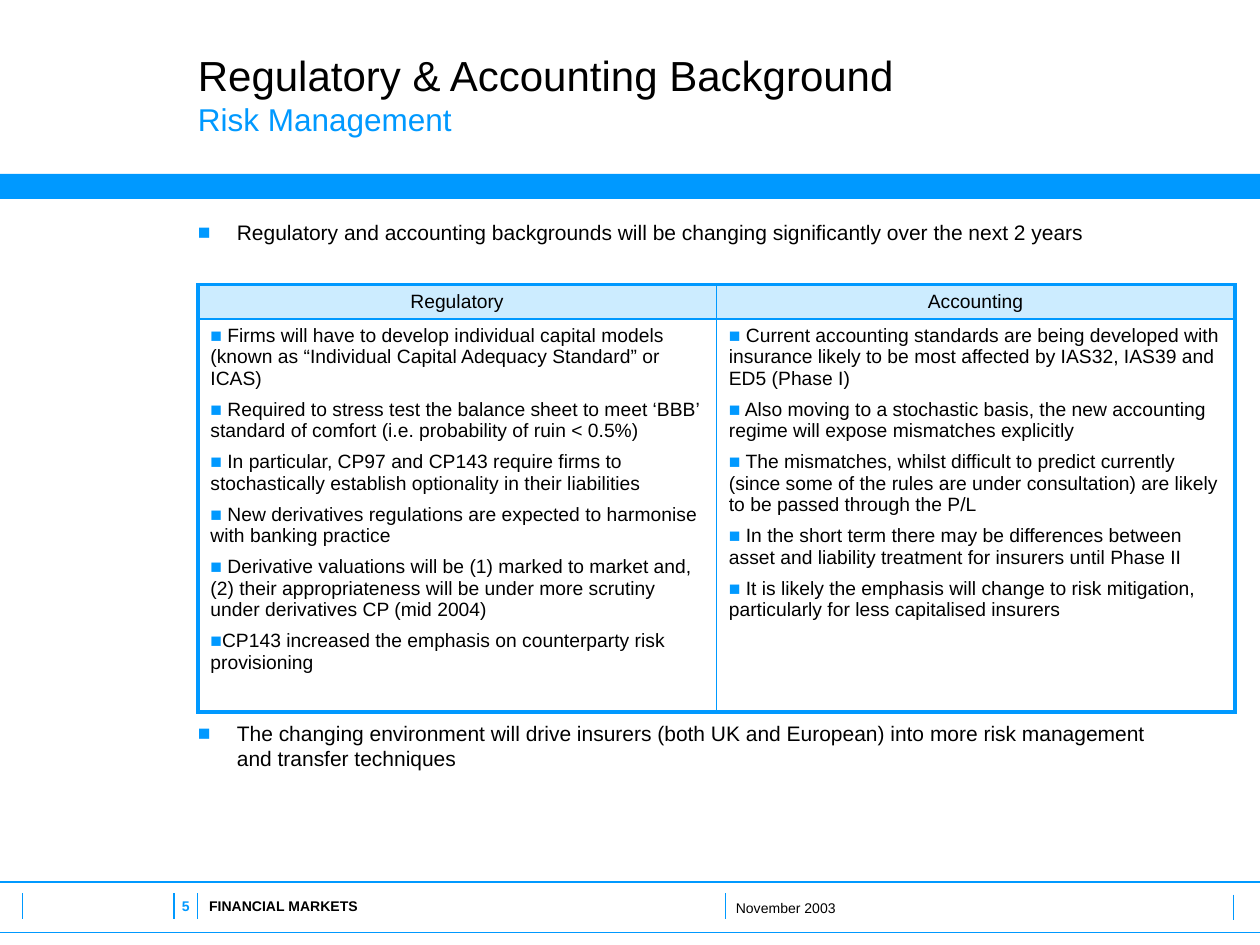
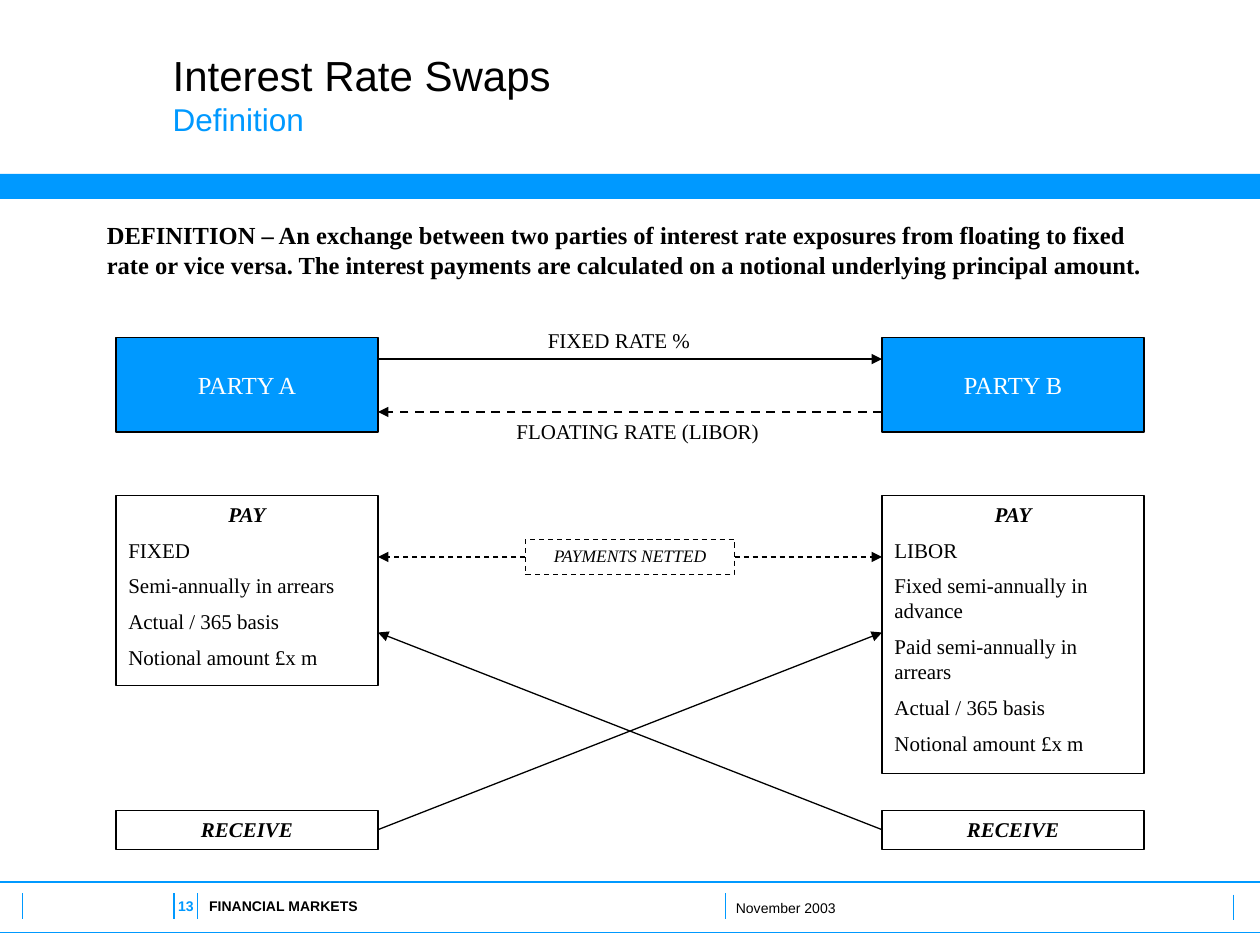
from copy import deepcopy

from lxml import etree
from pptx import Presentation
from pptx.dml.color import RGBColor
from pptx.enum.dml import MSO_LINE
from pptx.enum.shapes import MSO_CONNECTOR, MSO_SHAPE
from pptx.enum.text import MSO_ANCHOR, MSO_AUTO_SIZE, PP_ALIGN
from pptx.oxml.ns import qn
from pptx.util import Inches, Pt

LEFT, CENTER = PP_ALIGN.LEFT, PP_ALIGN.CENTER
TOP, MIDDLE = MSO_ANCHOR.TOP, MSO_ANCHOR.MIDDLE
DASH, RECT = MSO_LINE.DASH, MSO_SHAPE.RECTANGLE
STRAIGHT, NO_FIT = MSO_CONNECTOR.STRAIGHT, MSO_AUTO_SIZE.NONE
SIDE_LEFT, SIDE_RIGHT = 1, 3
TITLE_AND_BODY, TITLE_ONLY = 1, 5

COLORS = {"blue": "0099FF", "pale": "CCECFF", "black": "000000", "white": "FFFFFF"}
SANS, SERIF = "Arial", "Times New Roman"


def rgb(name):
    return RGBColor.from_string(COLORS[name])


class Deck:
    def __init__(self):
        self.prs = Presentation()
        self.prs.slide_width, self.prs.slide_height = Inches(10), Inches(7.5)
        self.s = None

    def slide(self, layout, number, title, subtitle, title_left):
        self.s = self.prs.slides.add_slide(self.prs.slide_layouts[layout])
        self.box((0, 1.38, 10, 0.2), fill="blue", line=None)
        for y in (7, 7.4):
            self.line((0, y), (10, y), color="blue")
        for x, y in ((0.18, 7.09), (1.38, 7.09), (1.57, 7.09), (5.76, 7.09), (9.79, 7.1)):
            self.line((x, y), (x, y + 0.2), color="blue")
        self.footer((1.66, 7.09, 3.93, 0.2), "FINANCIAL MARKETS", bold=True)
        self.footer((5.84, 7.11, 2.56, 0.2), "November 2003")
        self.footer((1.39, 7.09, 0.17, 0.2), str(number), CENTER, color="blue", bold=True)
        self.title(title, subtitle, title_left)

    def frame(self, tf, anchor=TOP, inset=True, wrap=True):
        tf.auto_size, tf.word_wrap, tf.vertical_anchor = NO_FIT, wrap, anchor
        if not inset:
            tf.margin_left = tf.margin_right = tf.margin_top = tf.margin_bottom = 0
        return tf

    def run(self, p, text, size, font=SANS, color="black", bold=False, italic=False):
        r = p.add_run()
        r.text = text
        f = r.font
        f.size, f.name, f.bold, f.italic = Pt(size), font, bold, italic
        f.color.rgb = rgb(color)
        return r

    def paragraph(self, tf, align=LEFT, spaced=True):
        p = tf.paragraphs[0]
        if p.runs:
            p = tf.add_paragraph()
        p.alignment = align
        p.space_before = Pt(0)
        if spaced:
            before = p._p.pPr.find(qn("a:spcBef"))
            before.clear()
            etree.SubElement(before, qn("a:spcPct"), val="50000")
        return p

    def bullet(self, p, indent=0):
        pPr = p._p.get_or_add_pPr()
        pPr.set("marL", str(Inches(indent)))
        pPr.set("indent", str(-Inches(indent)))
        color = etree.SubElement(pPr, qn("a:buClr"))
        etree.SubElement(color, qn("a:srgbClr"), val=COLORS["blue"])
        etree.SubElement(pPr, qn("a:buFont"), typeface=SANS)
        etree.SubElement(pPr, qn("a:buChar"), char="■")

    def place(self, shape, at):
        shape.left, shape.top, shape.width, shape.height = map(Inches, at)

    def title(self, title, subtitle, left):
        sp = self.s.shapes.title
        self.place(sp, (left, 0.39, 8.21, 0.79))
        p = self.paragraph(self.frame(sp.text_frame, inset=False), spaced=False)
        r = self.run(p, title, 24)
        p.add_line_break()
        p._p[-1].append(deepcopy(r._r.rPr))
        self.run(p, subtitle, 18, color="blue")

    def body(self, at, texts, gap):
        sp = self.s.placeholders[1]
        self.place(sp, at)
        tf = self.frame(sp.text_frame, inset=False)
        for i, text in enumerate(texts):
            p = self.paragraph(tf, spaced=False)
            p.space_before = Pt(gap if i else 0)
            self.bullet(p, 0.31)
            self.run(p, text, 12)

    def footer(self, at, text, align=LEFT, **style):
        sp = self.s.shapes.add_textbox(*map(Inches, at))
        tf = self.frame(sp.text_frame, MIDDLE, inset=False)
        self.run(self.paragraph(tf, align, spaced=False), text, 8, **style)

    def text(self, at, text, size=12, bold=False):
        sp = self.s.shapes.add_textbox(*map(Inches, at))
        p = self.paragraph(self.frame(sp.text_frame))
        self.run(p, text, size, SERIF, bold=bold)

    def box(self, at, fill=None, line="black", dash=None):
        sp = self.s.shapes.add_shape(RECT, *map(Inches, at))
        sp.shadow.inherit = False
        if fill:
            sp.fill.solid()
            sp.fill.fore_color.rgb = rgb(fill)
        else:
            sp.fill.background()
        if line:
            sp.line.color.rgb, sp.line.width = rgb(line), Pt(0.75)
            if dash:
                sp.line.dash_style = dash
        else:
            sp.line.fill.background()
        return sp

    def party(self, at, name):
        sp = self.box(at, fill="blue")
        p = self.paragraph(self.frame(sp.text_frame, MIDDLE, wrap=False), CENTER, spaced=False)
        self.run(p, name, 14, SERIF, "white")

    def terms(self, at, heading, items=(), size=12, bold=True, dash=None):
        sp = self.box(at, dash=dash)
        tf = self.frame(sp.text_frame)
        self.run(self.paragraph(tf, CENTER), heading, size, SERIF, bold=bold, italic=True)
        for item in items:
            self.run(self.paragraph(tf), item, size, SERIF)
        return sp

    def line(self, start, end, color="black", width=0.75, dash=None, arrow=False, joined=None):
        c = self.s.shapes.add_connector(STRAIGHT, *map(Inches, (*start, *end)))
        c.line.color.rgb, c.line.width = rgb(color), Pt(width)
        if dash:
            c.line.dash_style = dash
        if arrow:
            etree.SubElement(c.line._get_or_add_ln(), qn("a:tailEnd"), type="triangle")
        etree.SubElement(c._element.spPr, qn("a:effectLst"))
        if joined:
            c.begin_connect(*joined)

    def borders(self, cell, widths):
        tcPr = cell._tc.get_or_add_tcPr()
        for side, width in zip("LRTB", widths):
            ln = etree.SubElement(tcPr, qn("a:ln" + side), w=str(Pt(width)))
            fill = etree.SubElement(ln, qn("a:solidFill"))
            etree.SubElement(fill, qn("a:srgbClr"), val=COLORS["blue"])

    def table(self, at, heights, columns):
        outer, inner = 2.25, 1
        count = len(columns)
        t = self.s.shapes.add_table(2, count, *map(Inches, at)).table
        t.first_row = t.horz_banding = False
        for row, height in zip(t.rows, heights):
            row.height = Inches(height)
        for col, (heading, items) in enumerate(columns):
            left = inner if col else outer
            right = outer if col == count - 1 else inner
            head, cell = t.cell(0, col), t.cell(1, col)
            self.borders(head, (left, right, outer, inner))
            self.borders(cell, (left, right, inner, outer))
            head.fill.solid()
            head.fill.fore_color.rgb = rgb("pale")
            cell.fill.background()
            self.run(self.paragraph(head.text_frame, CENTER), heading, 11)
            for item in items:
                p = self.paragraph(cell.text_frame)
                self.bullet(p)
                self.run(p, item, 11)


REGULATORY = [
    " Firms will have to develop individual capital models (known as “Individual Capital Adequacy Standard” or ICAS)",
    " Required to stress test the balance sheet to meet ‘BBB’ standard of comfort (i.e. probability of ruin < 0.5%)",
    " In particular, CP97 and CP143 require firms to stochastically establish optionality in their liabilities",
    " New derivatives regulations are expected to harmonise with banking practice",
    " Derivative valuations will be (1) marked to market and, (2) their appropriateness will be under more scrutiny "
    "under derivatives CP (mid 2004)",
    "CP143 increased the emphasis on counterparty risk provisioning",
]
ACCOUNTING = [
    " Current accounting standards are being developed with insurance likely to be most affected by IAS32, IAS39 "
    "and ED5 (Phase I)",
    " Also moving to a stochastic basis, the new accounting regime will expose mismatches explicitly",
    " The mismatches, whilst difficult to predict currently (since some of the rules are under consultation) "
    "are likely to be passed through the P/L",
    " In the short term there may be differences between asset and liability treatment for insurers until Phase II",
    " It is likely the emphasis will change to risk mitigation, particularly for less capitalised insurers",
]
SHARED_TERMS = ["Actual / 365 basis", "Notional amount £x m"]
FIXED_TERMS = ["FIXED", "Semi-annually in arrears"] + SHARED_TERMS
LIBOR_TERMS = ["LIBOR", "Fixed semi-annually in advance", "Paid semi-annually in arrears"] + SHARED_TERMS


def background_slide(deck):
    deck.slide(TITLE_AND_BODY, 5, "Regulatory & Accounting Background", "Risk Management", 1.57)
    deck.body((1.57, 1.74, 7.68, 4.93), [
        "Regulatory and accounting backgrounds will be changing significantly over the next 2 years",
        "The changing environment will drive insurers (both UK and European) into more risk management "
        "and transfer techniques",
    ], gap=272)
    deck.table((1.57, 2.26, 8.23, 3.39), (0.27, 3.12),
               [("Regulatory", REGULATORY), ("Accounting", ACCOUNTING)])


def swaps_slide(deck):
    deck.slide(TITLE_ONLY, 13, "Interest Rate Swaps", "Definition", 1.37)
    deck.text((0.75, 1.7, 8.5, 0.57),
              "DEFINITION – An exchange between two parties of interest rate exposures from floating to fixed "
              "rate or vice versa. The interest payments are calculated on a notional underlying principal amount.",
              14, bold=True)
    a_left, a_right, b_left, width = 0.92, 3, 7, 2.08
    receive = []
    for x, name, items, height in ((a_left, "PARTY A", FIXED_TERMS, 1.51), (b_left, "PARTY B", LIBOR_TERMS, 2.21)):
        deck.party((x, 2.68, width, 0.75), name)
        deck.terms((x, 3.93, width, height), "PAY", items)
        receive.append(deck.terms((x, 6.43, width, 0.31), "RECEIVE"))

    deck.line((a_right, 2.85), (b_left, 2.85), width=1.25, arrow=True)
    deck.line((b_left, 3.27), (a_right, 3.27), width=1.25, dash=DASH, arrow=True)
    deck.text((4.25, 2.55, 1.5, 0.3), "FIXED RATE %")
    deck.text((4, 3.27, 2.25, 0.3), "FLOATING RATE (LIBOR)")

    netted = deck.terms((4.17, 4.28, 1.66, 0.28), "PAYMENTS NETTED", size=10, bold=False, dash=DASH)
    for start, end, side in ((4.17, a_right, SIDE_LEFT), (5.83, b_left, SIDE_RIGHT)):
        deck.line((start, 4.42), (end, 4.42), dash=DASH, arrow=True, joined=(netted, side))
    for start, end, sp, side in ((a_right, b_left, receive[0], SIDE_RIGHT), (b_left, a_right, receive[1], SIDE_LEFT)):
        deck.line((start, 6.58), (end, 5.02), arrow=True, joined=(sp, side))


def main():
    deck = Deck()
    background_slide(deck)
    swaps_slide(deck)
    deck.prs.save("out.pptx")


if __name__ == "__main__":
    main()
